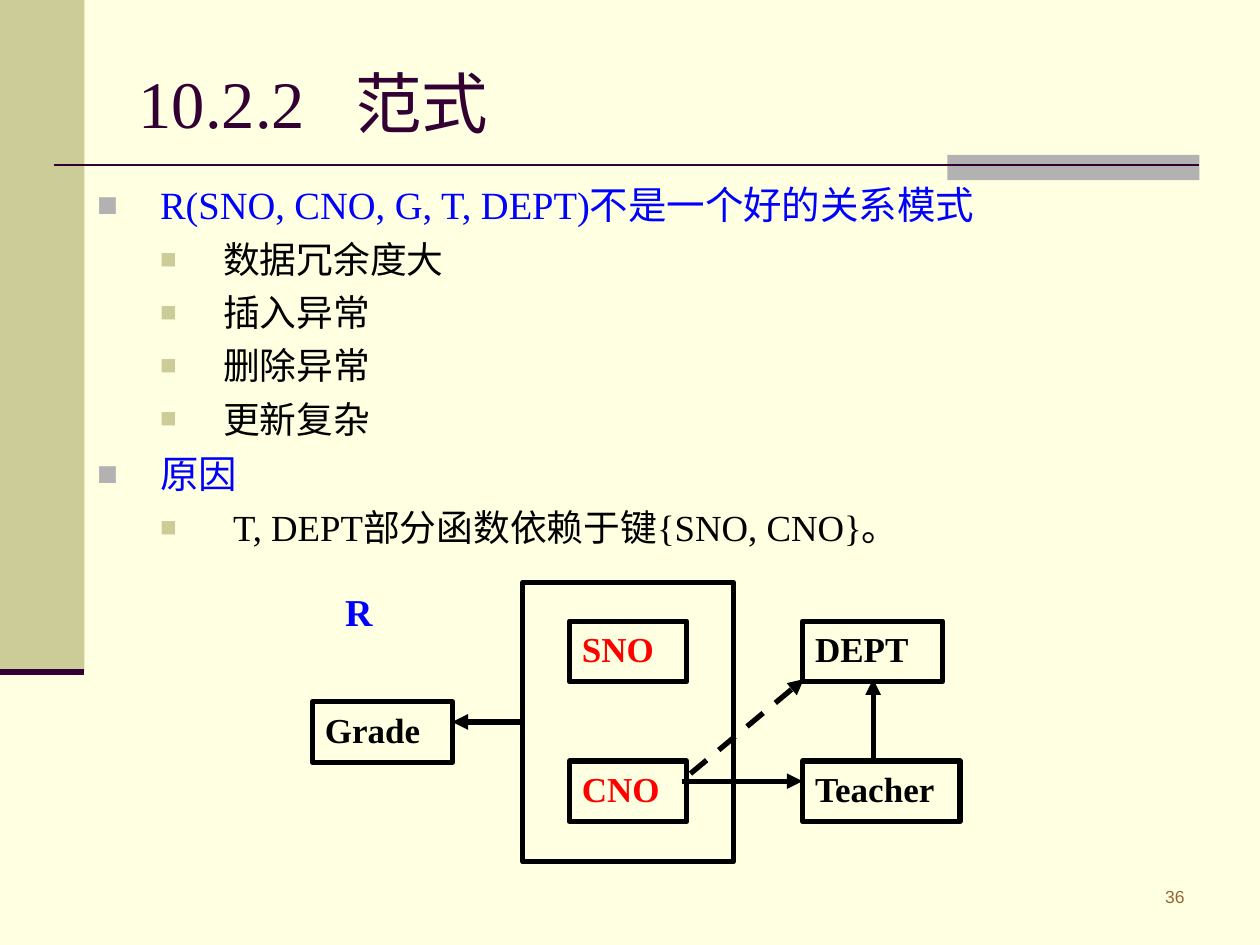
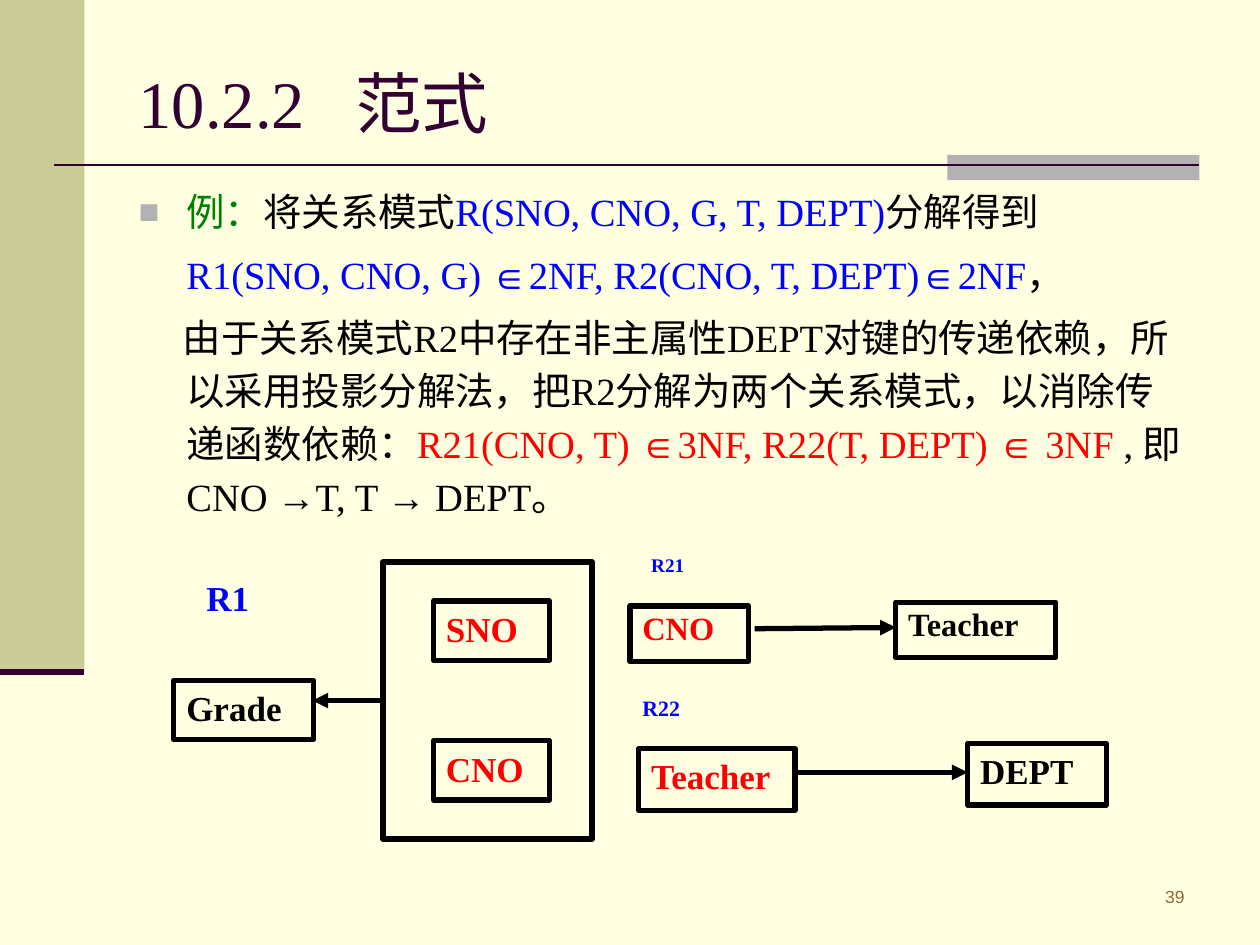
from lxml import etree
from pptx import Presentation
from pptx.dml.color import RGBColor
from pptx.enum.dml import MSO_LINE
from pptx.enum.shapes import MSO_CONNECTOR, MSO_SHAPE
from pptx.enum.text import MSO_ANCHOR, MSO_AUTO_SIZE, PP_ALIGN
from pptx.oxml.ns import qn
from pptx.util import Inches, Pt

RECTANGLE = MSO_SHAPE.RECTANGLE
STRAIGHT = MSO_CONNECTOR.STRAIGHT
DASH = MSO_LINE.DASH
TOP, MIDDLE = MSO_ANCHOR.TOP, MSO_ANCHOR.MIDDLE
LEFT, RIGHT, JUSTIFY = PP_ALIGN.LEFT, PP_ALIGN.RIGHT, PP_ALIGN.JUSTIFY
NO_AUTOFIT = MSO_AUTO_SIZE.NONE

CREAM = RGBColor(0xFF, 0xFF, 0xE1)
KHAKI = RGBColor(0xCC, 0xCC, 0x99)
GRAY = RGBColor(0xB2, 0xB2, 0xB2)
PLUM = RGBColor(0x33, 0x00, 0x33)
BROWN = RGBColor(0x99, 0x66, 0x33)
BLACK = RGBColor(0x00, 0x00, 0x00)
BLUE = RGBColor(0x00, 0x00, 0xFF)
RED = RGBColor(0xFF, 0x00, 0x00)
GREEN = RGBColor(0x00, 0x80, 0x00)
SERIF, SANS = "Times New Roman", "Arial"
BULLETS = [(GRAY, 90), (KHAKI, 75)]


def add_run(paragraph, text, size, color, font=SERIF, bold=False):
    run = paragraph.add_run()
    run.text = text
    run.font.size = Pt(size)
    run.font.name = font
    run.font.bold = bold
    run.font.color.rgb = color


def add_line(slide, start, end, color, width, arrow=False, dash=None):
    points = [Inches(value) for value in (*start, *end)]
    connector = slide.shapes.add_connector(STRAIGHT, *points)
    connector.line.color.rgb = color
    connector.line.width = Pt(width)
    if dash:
        connector.line.dash_style = dash
    properties = connector.element.spPr
    if arrow:
        etree.SubElement(properties.find(qn("a:ln")), qn("a:tailEnd"), type="triangle")
    etree.SubElement(properties, qn("a:effectLst"))


dependency_causes = {
    "number": "36",
    "body_left": 0.67,
    "line_spacing": 1.0,
    # level, margin, hanging indent, bulleted, runs
    "paragraphs": [
        (0, 0.5, 0.5, True, [("R(SNO, CNO, G, T, DEPT)不是一个好的关系模式", BLUE, SERIF)]),
        *[(1, 1, 0.5, True, [(fault, BLACK, SERIF)])
          for fault in ("数据冗余度大", "插入异常", "删除异常", "更新复杂")],
        (0, 0.5, 0.5, True, [("原因", BLUE, SERIF)]),
        (1, 1.08, 0.58, True, [("T, DEPT部分函数依赖于键{SNO, CNO}。", BLACK, SERIF)]),
    ],
    "key_frame": (4.15, 4.62, 1.67, 2.22),
    "attributes": [
        ("SNO", 4.52, 4.93, 0.93, 0.48, 20, RED, 1),
        ("CNO", 4.52, 6.04, 0.93, 0.48, 20, RED, 1),
        ("Grade", 2.48, 5.57, 1.11, 0.48, 20, BLACK, 1),
        ("DEPT", 6.37, 4.93, 1.11, 0.48, 20, BLACK, 1),
        ("Teacher", 6.37, 6.04, 1.25, 0.48, 20, BLACK, 1),
    ],
    "labels": [("R", 2.64, 4.69, 1.11, 0.48, 21.7, BLUE, 0.8)],
    "arrows": [
        ((4.15, 5.73), (3.59, 5.73), None),
        ((5.48, 6.14), (6.38, 5.39), DASH),
        ((5.41, 6.2), (6.37, 6.2), None),
        ((6.93, 6.02), (6.93, 5.39), None),
    ],
}

decomposition = {
    "number": "39",
    "body_left": 1,
    "line_spacing": 1.15,
    "paragraphs": [
        (0, 0.38, 0.38, True, [
            ("例：", GREEN, SERIF),
            ("将关系模式", BLACK, SERIF),
            ("R(SNO, CNO, G, T, DEPT)", BLUE, SERIF),
            ("分解得到", BLACK, SERIF),
        ]),
        (0, 0.38, 0, False, [
            ("R1(SNO, CNO, G) ∈2NF, R2(CNO, T, DEPT)∈2NF", BLUE, SERIF),
            ("，", BLACK, SERIF),
        ]),
        (0, 0.38, 0.03, False, [
            ("由于关系模式R2中存在非主属性DEPT对键的传递依赖，所以采用投影分解法，"
             "把R2分解为两个关系模式，以消除传递函数依赖：", BLACK, SERIF),
            ("R21(CNO, T) ∈3NF, R22(T, DEPT) ∈ 3NF ", RED, SERIF),
            (", 即CNO ", BLACK, SERIF),
            ("→", BLACK, SANS),
            ("T, T ", BLACK, SERIF),
            ("→", BLACK, SANS),
            (" DEPT。", BLACK, SERIF),
        ]),
    ],
    "key_frame": (3.04, 4.46, 1.66, 2.2),
    "attributes": [
        ("SNO", 3.44, 4.77, 0.92, 0.47, 20, RED, 1),
        ("CNO", 3.44, 5.88, 0.92, 0.47, 20, RED, 1),
        ("Grade", 1.38, 5.4, 1.11, 0.47, 20, BLACK, 1),
        ("Teacher", 7.11, 4.78, 1.27, 0.44, 18.5, BLACK, 0.9),
        ("CNO", 5, 4.81, 0.94, 0.44, 18.5, RED, 0.9),
        ("DEPT", 7.68, 5.9, 1.1, 0.49, 20, BLACK, 1),
        ("Teacher", 5.07, 5.94, 1.24, 0.49, 20, RED, 1),
    ],
    "labels": [
        ("R1", 1.54, 4.53, 0.6, 0.47, 20, BLUE, 1),
        ("R21", 5.07, 4.38, 0.77, 0.29, 11, BLUE, 0.8),
        ("R22", 5, 5.5, 0.96, 0.32, 12.5, BLUE, 0.8),
    ],
    "arrows": [
        ((3.04, 5.56), (2.48, 5.56), None),
        ((5.99, 4.99), (7.11, 4.98), None),
        ((6.3, 6.13), (7.68, 6.13), None),
    ],
}

presentation = Presentation()
presentation.slide_width = Inches(10)
presentation.slide_height = Inches(7.5)
background = presentation.slide_master.background.fill
background.solid()
background.fore_color.rgb = CREAM

for content in (dependency_causes, decomposition):
    slide = presentation.slides.add_slide(presentation.slide_layouts[1])

    for color, *place in ((KHAKI, 0, 0, 0.67, 5.33), (GRAY, 7.52, 1.23, 2, 0.2)):
        band = slide.shapes.add_shape(RECTANGLE, *map(Inches, place))
        band.shadow.inherit = False
        band.fill.solid()
        band.fill.fore_color.rgb = color
        band.line.fill.background()
    add_line(slide, (0.43, 1.31), (9.52, 1.31), PLUM, 1.5)
    add_line(slide, (0, 5.33), (0.67, 5.33), PLUM, 3.5)

    number = slide.shapes.add_textbox(Inches(8.23), Inches(6.98), Inches(1.27), Inches(0.35))
    number.text_frame.word_wrap = True
    paragraph = number.text_frame.paragraphs[0]
    paragraph.alignment = RIGHT
    add_run(paragraph, content["number"], 10, BROWN, SANS)

    title = slide.shapes.title
    title.left, title.top, title.width, title.height = map(Inches, (1, 0.3, 8.5, 1.01))
    title.text_frame.auto_size = NO_AUTOFIT
    title.text_frame.vertical_anchor = MIDDLE
    paragraph = title.text_frame.paragraphs[0]
    paragraph.alignment = LEFT
    tabs = etree.SubElement(paragraph._p.get_or_add_pPr(), qn("a:tabLst"))
    etree.SubElement(tabs, qn("a:tab"), pos=str(Inches(1.72)), algn="l")
    add_run(paragraph, "10.2.2\t范式", 38, PLUM)

    body = slide.placeholders[1]
    body_left = content["body_left"]
    body.left, body.top, body.width, body.height = map(
        Inches, (body_left, 1.39, 9.5 - body_left, 5.51))
    frame = body.text_frame
    frame.auto_size = NO_AUTOFIT
    frame.vertical_anchor = TOP
    for index, (level, margin, hanging, bulleted, runs) in enumerate(content["paragraphs"]):
        paragraph = frame.add_paragraph() if index else frame.paragraphs[0]
        paragraph.level = level
        properties = paragraph._p.get_or_add_pPr()
        properties.set("marL", str(Inches(margin)))
        properties.set("indent", str(-Inches(hanging)))
        if bulleted:
            color, percent = BULLETS[level]
            bullet_color = etree.SubElement(properties, qn("a:buClr"))
            etree.SubElement(bullet_color, qn("a:srgbClr"), val=str(color))
            etree.SubElement(properties, qn("a:buSzPct"), val=str(percent * 1000))
            etree.SubElement(properties, qn("a:buFont"), typeface=SANS)
            etree.SubElement(properties, qn("a:buChar"), char="■")
        else:
            etree.SubElement(properties, qn("a:buNone"))
        paragraph.alignment = LEFT
        paragraph.line_spacing = content["line_spacing"]
        paragraph.space_before = Pt((5.5, 5.2)[level] if index else 0)
        for text, color, font in runs:
            add_run(paragraph, text, 22 - level, color, font)

    outlined = [slide.shapes.add_shape(RECTANGLE, *map(Inches, content["key_frame"]))]
    captions = []
    for attribute in content["attributes"]:
        box = slide.shapes.add_shape(RECTANGLE, *map(Inches, attribute[1:5]))
        outlined.append(box)
        captions.append((box, attribute))
    for label in content["labels"]:
        captions.append((slide.shapes.add_textbox(*map(Inches, label[1:5])), label))
    for box in outlined:
        box.shadow.inherit = False
        box.fill.background()
        box.line.color.rgb = BLACK
        box.line.width = Pt(3)
    for box, (text, *place, size, color, spacing) in captions:
        box.text_frame.word_wrap = True
        box.text_frame.vertical_anchor = TOP
        paragraph = box.text_frame.paragraphs[0]
        paragraph.alignment = JUSTIFY
        paragraph.line_spacing = spacing
        add_run(paragraph, text, size, color, bold=True)

    for start, end, dash in content["arrows"]:
        add_line(slide, start, end, BLACK, 3, arrow=True, dash=dash)

presentation.save("out.pptx")
